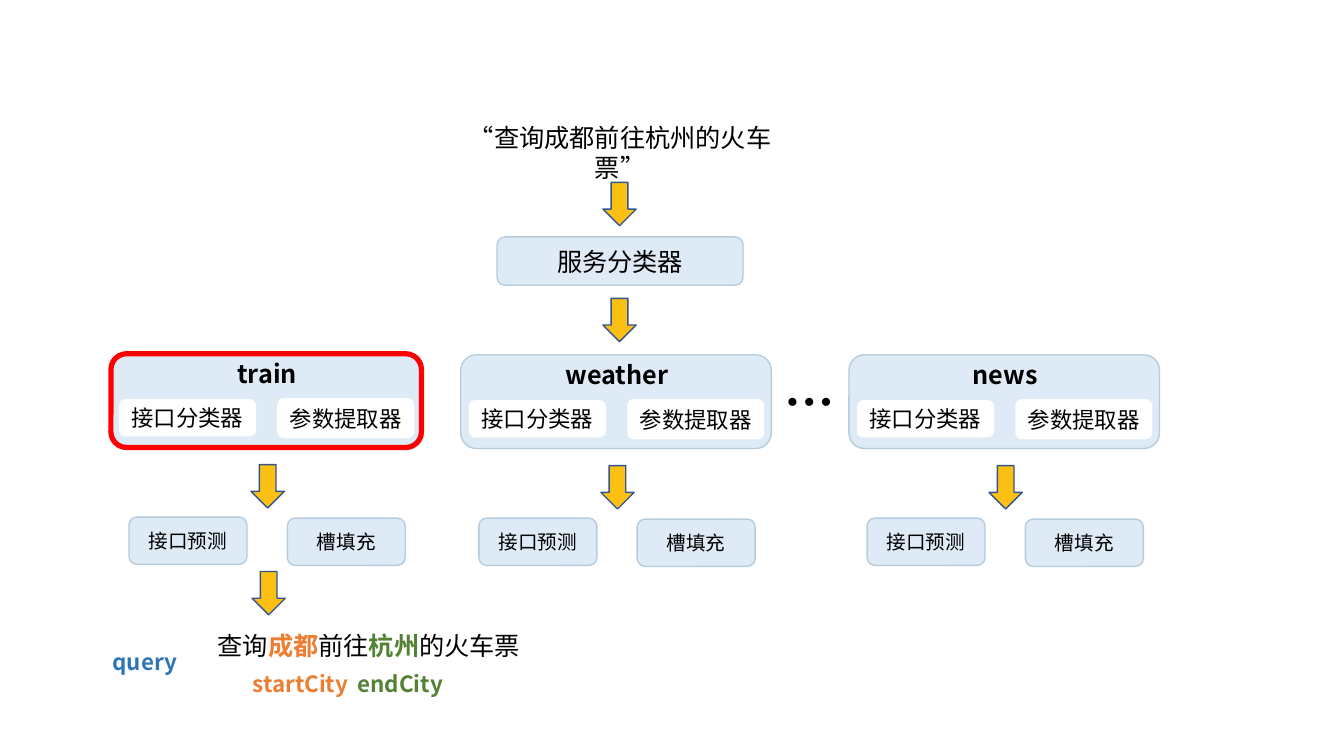
from pptx import Presentation
from pptx.dml.color import RGBColor
from pptx.enum.shapes import MSO_SHAPE
from pptx.enum.text import MSO_ANCHOR, PP_ALIGN
from pptx.oxml.ns import qn
from pptx.util import Inches, Pt
from lxml import etree

ROUND, DOWN = MSO_SHAPE.ROUNDED_RECTANGLE, MSO_SHAPE.DOWN_ARROW
MIDDLE, TOP = MSO_ANCHOR.MIDDLE, MSO_ANCHOR.TOP
CENTER, LEFT = PP_ALIGN.CENTER, PP_ALIGN.LEFT
FONT = "Noto Sans CJK SC"
COLORS = {
    "black": "000000", "white": "FFFFFF", "panel": "DEEBF7", "edge": "B6CBDB",
    "red": "FF0000", "arrow": "FCC012", "arrow_edge": "325491",
    "orange": "ED7D31", "green": "548235", "blue": "2E75B6",
}

prs = Presentation()
prs.slide_width, prs.slide_height = Inches(13.33), Inches(7.5)
slide = prs.slides.add_slide(prs.slide_layouts[6])


def add_block(x, y, w, h, fill=None, line=None, weight=1, kind=ROUND):
    block = slide.shapes.add_shape(kind, Inches(x), Inches(y), Inches(w), Inches(h))
    block.shadow.inherit = False
    if fill:
        block.fill.solid()
        block.fill.fore_color.rgb = RGBColor.from_string(COLORS[fill])
    else:
        block.fill.background()
    if line:
        block.line.color.rgb = RGBColor.from_string(COLORS[line])
        block.line.width = Pt(weight)
    else:
        block.line.fill.background()
    return block


def write(block, pieces, size, align=CENTER, anchor=MIDDLE):
    """Fill a shape with one paragraph of (text, color, bold) pieces."""
    frame = block.text_frame
    frame.word_wrap = True
    frame.vertical_anchor = anchor
    paragraph = frame.paragraphs[0]
    paragraph.alignment = align
    for text, color, bold in pieces:
        run = paragraph.add_run()
        run.text = text
        run.font.name = FONT
        run.font.size = Pt(size)
        run.font.bold = bold
        run.font.color.rgb = RGBColor.from_string(COLORS[color])
        east_asian = etree.SubElement(run.font._element, qn("a:ea"))
        east_asian.set("typeface", FONT)
    return paragraph


# Question and service classifier
question = write(add_block(4.47, 1.27, 3.36, 0.48),
                 [("“查询成都前往杭州的火车票”", "black", False)], 18)
question.line_spacing = Pt(21.5)
write(add_block(4.93, 2.35, 2.44, 0.48, "panel", "edge"),
      [("服务分类器", "black", False)], 18)

# One column per service
services = [
    ("train", 1.1, 3.51, "red", 3.75),
    ("weather", 4.57, 3.52, "edge", 1),
    ("news", 8.42, 3.52, "edge", 1),
]
# text, offset from the panel, size, fill, line, text size
parts = [
    ("接口分类器", 0.08, 0.45, 1.36, 0.37, "white", None, 16),
    ("参数提取器", 1.65, 0.44, 1.36, 0.4, "white", None, 16),
    ("接口预测", 0.18, 1.62, 1.17, 0.47, "panel", "edge", 14),
    ("槽填充", 1.75, 1.63, 1.17, 0.47, "panel", "edge", 14),
]
arrows = [(5.98, 1.81), (5.98, 2.96), (2.5, 5.67)]
for service, x, y, outline, weight in services:
    add_block(x, y, 3.08, 0.93, "panel", outline, weight)
    title = slide.shapes.add_textbox(Inches(x + 0.77), Inches(y), Inches(1.56), Inches(0.71))
    write(title, [(service, "black", True)], 18, anchor=TOP)
    for text, dx, dy, w, h, fill, line, size in parts:
        write(add_block(x + dx, y + dy, w, h, fill, line), [(text, "black", False)], size)
    arrows.append((x + 1.39, y + 1.1))

write(add_block(6.35, 3.74, 3.36, 0.48), [("…", "black", True)], 36)

for x, y in arrows:
    add_block(x, y, 0.33, 0.43, "arrow", "arrow_edge", kind=DOWN)

# Result with its filled slots
write(add_block(1.98, 6.18, 3.36, 0.48), [
    ("查询", "black", False), ("成都", "orange", True), ("前往", "black", False),
    ("杭州", "green", True), ("的火车票", "black", False),
], 18, anchor=TOP)
labels = [("startCity", 2.39, 6.58, "orange"), ("endCity", 3.43, 6.58, "green"),
          ("query", 1, 6.36, "blue")]
for text, x, y, color in labels:
    write(add_block(x, y, 1.18, 0.37), [(text, color, True)], 16, LEFT, TOP)

prs.save("out.pptx")
